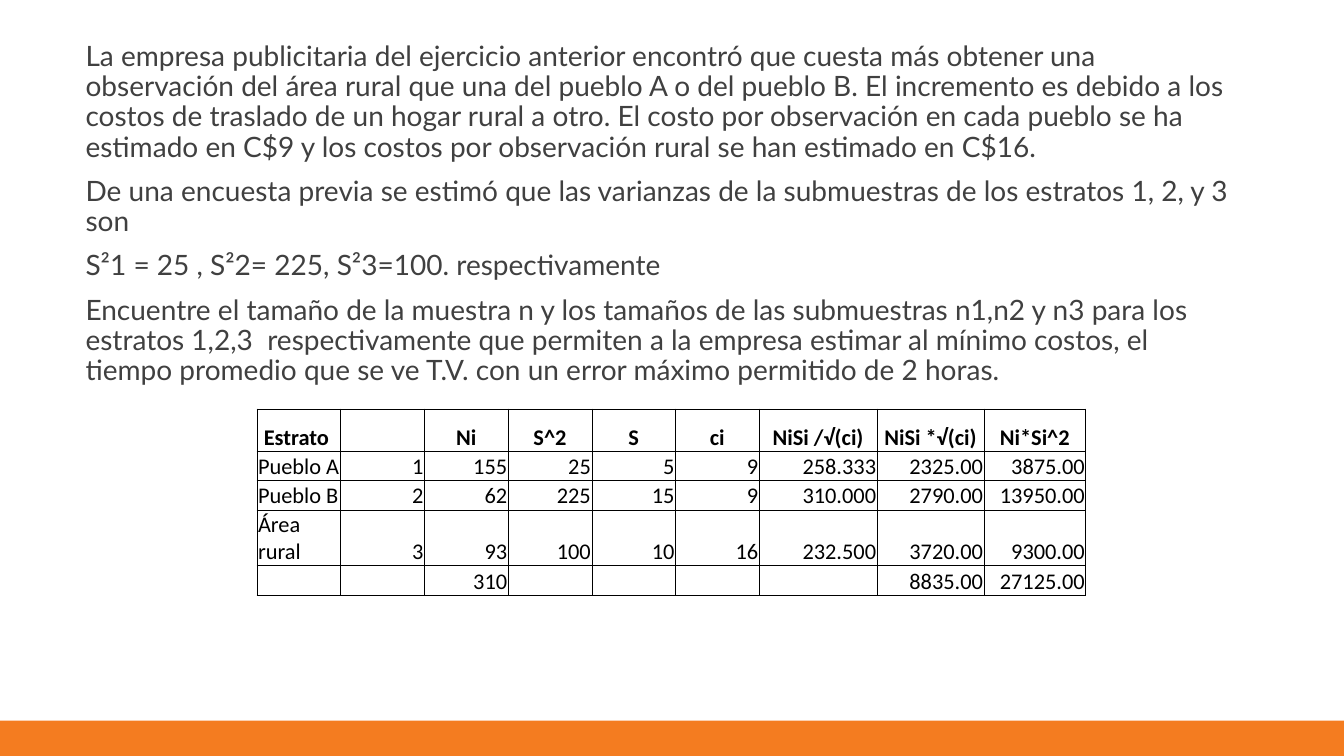
from lxml import etree
from pptx import Presentation
from pptx.dml.color import RGBColor
from pptx.enum.shapes import MSO_SHAPE
from pptx.enum.text import MSO_ANCHOR, PP_ALIGN
from pptx.oxml.ns import qn
from pptx.util import Inches, Pt

ORANGE = RGBColor(0xF4, 0x7C, 0x20)
GRAY = RGBColor(0x40, 0x40, 0x40)
BLACK = RGBColor(0, 0, 0)
RECTANGLE = MSO_SHAPE.RECTANGLE
BOTTOM = MSO_ANCHOR.BOTTOM
LEFT, CENTER, RIGHT = PP_ALIGN.LEFT, PP_ALIGN.CENTER, PP_ALIGN.RIGHT

STATEMENT = [
    "La empresa publicitaria del ejercicio anterior encontró que cuesta más obtener una "
    "observación del área rural que una del pueblo A o del pueblo B. El incremento es debido "
    "a los costos de traslado de un hogar rural a otro. El costo por observación en cada pueblo "
    "se ha estimado en C$9 y los costos por observación rural se han estimado en C$16.",
    "De una encuesta previa se estimó que las varianzas de la submuestras de los estratos "
    "1, 2, y 3 son",
    "S²1 = 25 , S²2= 225, S²3=100. respectivamente",
    "Encuentre el tamaño de la muestra n y los tamaños de las submuestras n1,n2 y n3 para los "
    "estratos 1,2,3  respectivamente que permiten a la empresa estimar al mínimo costos, el "
    "tiempo promedio que se ve T.V. con un error máximo permitido de 2 horas.",
]
STRATA = [
    ["Estrato ", "", "Ni", "S^2", "S", "ci", "NiSi /√(ci)", "NiSi *√(ci)", "Ni*Si^2"],
    ["Pueblo A", "1", "155", "25", "5", "9", "258.333", "2325.00", "3875.00"],
    ["Pueblo B", "2", "62", "225", "15", "9", "310.000", "2790.00", "13950.00"],
    ["Área rural", "3", "93", "100", "10", "16", "232.500", "3720.00", "9300.00"],
    ["", "", "310", "", "", "", "", "8835.00", "27125.00"],
]
COLUMN_WIDTHS = [0.83] * 6 + [1.17, 1.06, 1.01]
ROW_HEIGHTS = [0.42, 0.29, 0.29, 0.55, 0.3]


def write_text(para, text, font="Calibri", size=16, color=BLACK, bold=False, align=LEFT):
    """Write one formatted span, or size the empty paragraph."""
    para.alignment = align
    if not text:
        etree.SubElement(para._p, qn("a:endParaRPr"), sz=str(size * 100))
        return
    span = para.add_run()
    span.text = text
    span.font.name = font
    span.font.size = Pt(size)
    span.font.bold = bold
    span.font.color.rgb = color


def add_footer_band(page, left, top, width, height):
    """Add the orange band at the foot of the page."""
    band = page.shapes.add_shape(
        RECTANGLE, Inches(left), Inches(top), Inches(width), Inches(height))
    band.shadow.inherit = False
    band.fill.solid()
    band.fill.fore_color.rgb = ORANGE
    band.line.fill.background()


def add_statement(page, left, top, width, height):
    """Add the paragraphs of the exercise."""
    box = page.shapes.add_textbox(Inches(left), Inches(top), Inches(width), Inches(height))
    frame = box.text_frame
    frame.word_wrap = True
    for index, text in enumerate(STATEMENT):
        para = frame.add_paragraph() if index else frame.paragraphs[0]
        para.line_spacing = 0.9
        para.space_before = Pt(10)
        write_text(para, text, font="Lato", size=20, color=GRAY)


def set_borders(cell, **widths):
    """Draw the black cell borders, with widths in points by side."""
    properties = cell._tc.get_or_add_tcPr()
    for side, width in widths.items():
        line = etree.SubElement(properties, qn(f"a:ln{side}"), w=str(Pt(width)))
        fill = etree.SubElement(line, qn("a:solidFill"))
        etree.SubElement(fill, qn("a:srgbClr"), val=str(BLACK))


def add_strata_table(page, left, top):
    """Add the table of strata with its totals."""
    frame = page.shapes.add_table(
        len(STRATA), len(STRATA[0]), Inches(left), Inches(top),
        Inches(sum(COLUMN_WIDTHS)), Inches(sum(ROW_HEIGHTS)))
    table = frame.table
    table.first_row = table.horz_banding = False
    for column, width in zip(table.columns, COLUMN_WIDTHS):
        column.width = Inches(width)
    for row, height in zip(table.rows, ROW_HEIGHTS):
        row.height = Inches(height)
    last = len(STRATA) - 1
    for i, values in enumerate(STRATA):
        for j, text in enumerate(values):
            cell = table.cell(i, j)
            cell.vertical_anchor = BOTTOM
            cell.margin_left = cell.margin_right = cell.margin_top = Inches(0.01)
            cell.margin_bottom = 0
            set_borders(cell, L=0.5 if j else 1, R=0.5 if i or j < 8 else 1,
                        T=0.5 if i else 1, B=1 if i == last and j < 7 else 0.5)
            cell.fill.background()
            align = CENTER if i == 0 else RIGHT if j else LEFT
            write_text(cell.text_frame.paragraphs[0], text, bold=i == 0, align=align)


def main():
    """Build the deck and save it."""
    deck = Presentation()
    deck.slide_width = Inches(13.33)
    deck.slide_height = Inches(7.5)
    page = deck.slides.add_slide(deck.slide_layouts.get_by_name("Blank"))
    add_footer_band(page, 0, 7.15, 13.33, 0.35)
    add_statement(page, 0.75, 0.37, 11.61, 3.7)
    add_strata_table(page, 2.55, 4.06)
    deck.save("out.pptx")


if __name__ == "__main__":
    main()
